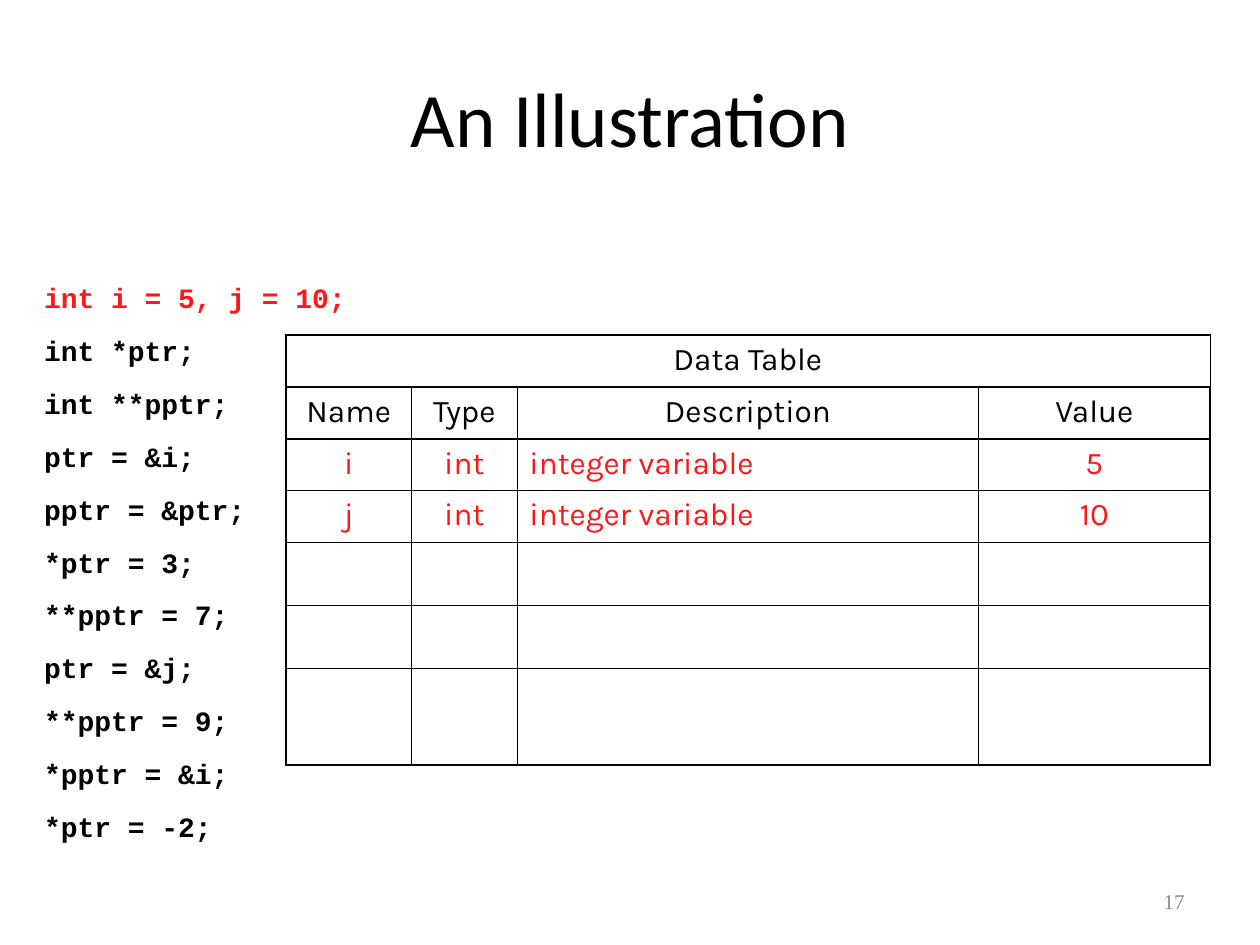
from lxml.etree import SubElement as Sub
from pptx import Presentation
from pptx.dml.color import RGBColor as RGB
from pptx.enum.text import MSO_ANCHOR as Anchor, PP_ALIGN as Align
from pptx.oxml.ns import qn
from pptx.util import Cm, Pt

# Content
TITLE = "An Illustration"
PAGE = "17"
CODE = [
    "int i = 5, j = 10;",
    "int *ptr;",
    "int **pptr;",
    "ptr = &i;",
    "pptr = &ptr;",
    "*ptr = 3;",
    "**pptr = 7;",
    "ptr = &j;",
    "**pptr = 9;",
    "*pptr = &i;",
    "*ptr = -2;",
]
HEAD = "Data Table"
ROWS = [
    ("Name", "Type", "Description", "Value"),
    ("i", "int", "integer variable", "5"),
    ("j", "int", "integer variable", "10"),
]

# Looks
BLACK = RGB(0x00, 0x00, 0x00)
RED = RGB(0xFF, 0x17, 0x17)
GRAY = RGB(0x89, 0x89, 0x89)
TITLE_FONT = {"name": "Calibri", "size": Pt(44)}
PAGE_FONT = {"name": "Times New Roman", "size": Pt(12)}
CODE_FONT = {"name": "Courier New", "size": Pt(16), "bold": True}
CELL_FONT = {"name": "Karla", "size": Pt(18)}
THIN, THICK = Pt(0.45), Pt(1.08)

# Layout, in centimetres
WIDTHS = [2.54, 2.12, 9.31, 4.66]
HEIGHTS = [1.05, 1.05, 1.03, 1.05, 1.27, 1.27, 1.95]


def style(para, font, color, align=Align.LEFT):
    para.alignment = align
    for key, val in font.items():
        setattr(para.font, key, val)
    para.font.color.rgb = color


def add_box(slide, *place):
    frame = slide.shapes.add_textbox(*map(Cm, place)).text_frame
    frame.word_wrap = True
    return frame


def border(cell, sides):
    props = cell._tc.get_or_add_tcPr()
    for side, width in sides.items():
        line = Sub(props, qn(f"a:ln{side}"), w=str(int(width)))
        Sub(Sub(line, qn("a:solidFill")), qn("a:srgbClr"), val=str(BLACK))


def add_title(slide):
    title = slide.shapes.title
    place = {"left": 1.27, "top": 0.76, "width": 22.86, "height": 3.18}
    for key, val in place.items():
        setattr(title, key, Cm(val))
    frame = title.text_frame
    frame.text = TITLE
    frame.vertical_anchor = Anchor.MIDDLE
    style(frame.paragraphs[0], TITLE_FONT, BLACK, Align.CENTER)


def add_page(slide):
    frame = add_box(slide, 18.21, 17.65, 5.92, 1.02)
    frame.text = PAGE
    frame.vertical_anchor = Anchor.MIDDLE
    style(frame.paragraphs[0], PAGE_FONT, GRAY, Align.RIGHT)


def add_code(slide):
    frame = add_box(slide, 0.64, 5.54, 23.7, 11.23)
    frame.text = "\n".join(CODE)
    for n, para in enumerate(frame.paragraphs):
        style(para, CODE_FONT, BLACK if n else RED)
        if n:
            para.space_before = Pt(11)


def add_grid(slide):
    rows, cols = len(HEIGHTS), len(WIDTHS)
    place = map(Cm, (5.76, 6.75, sum(WIDTHS), sum(HEIGHTS)))
    table = slide.shapes.add_table(rows, cols, *place).table
    table.first_row = table.horz_banding = False
    for col, width in zip(table.columns, WIDTHS):
        col.width = Cm(width)
    for row, height in zip(table.rows, HEIGHTS):
        row.height = Cm(height)
    table.cell(0, 0).merge(table.cell(0, cols - 1))

    # Thick lines run around the table and its two heading rows
    for r in range(rows):
        for c in range(cols):
            cell = table.cell(r, c)
            border(cell, {
                "L": THICK if c == 0 else THIN,
                "R": THICK if c == cols - 1 else THIN,
                "T": THICK if r < 3 else THIN,
                "B": THICK if r < 2 or r == rows - 1 else THIN,
            })
            cell.fill.background()

    # Words
    for r, words in enumerate([(HEAD,)] + ROWS):
        for c, word in enumerate(words):
            cell = table.cell(r, c)
            cell.text = word
            left = r > 1 and c == 2
            style(cell.text_frame.paragraphs[0], CELL_FONT,
                  RED if r > 1 else BLACK,
                  Align.LEFT if left else Align.CENTER)


def main():
    deck = Presentation()
    deck.slide_width, deck.slide_height = Cm(25.4), Cm(19.05)
    slide = deck.slides.add_slide(deck.slide_layouts[5])
    for part in (add_title, add_page, add_code, add_grid):
        part(slide)
    deck.save("out.pptx")


if __name__ == "__main__":
    main()
